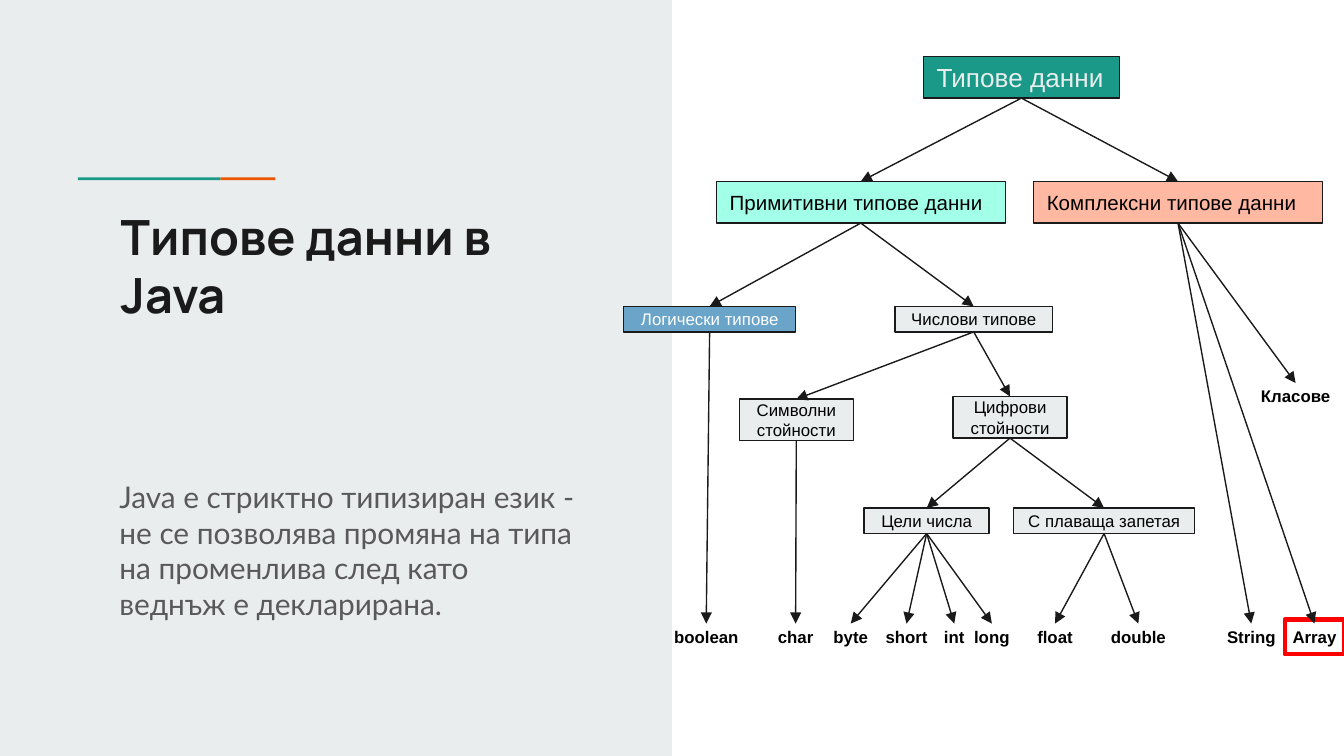
from lxml import etree
from pptx import Presentation
from pptx.dml.color import RGBColor
from pptx.enum import shapes, text
from pptx.oxml import ns
from pptx.util import Inches, Pt

INK = RGBColor(0x1A, 0x1A, 0x1A)
BLACK = RGBColor(0x00, 0x00, 0x00)
WHITE = RGBColor(0xFF, 0xFF, 0xFF)
GRAY = RGBColor(0x59, 0x59, 0x59)
PALE = RGBColor(0xE9, 0xED, 0xEE)
TEAL = RGBColor(0x1A, 0x99, 0x88)
ORANGE = RGBColor(0xEB, 0x56, 0x00)
MINT = RGBColor(0xA2, 0xFF, 0xE8)
SALMON = RGBColor(0xFF, 0xB8, 0xA2)
BLUE = RGBColor(0x6A, 0xA4, 0xC8)
RED = RGBColor(0xFF, 0x00, 0x00)

SLIDE_WIDTH = 10
SLIDE_HEIGHT = SLIDE_WIDTH * 9 / 16

presentation = Presentation()
presentation.slide_width = Inches(SLIDE_WIDTH)
presentation.slide_height = Inches(SLIDE_HEIGHT)
slide = presentation.slides.add_slide(presentation.slide_layouts[6])


def add_rectangle(left, top, width, height, fill=None, line=None, weight=0.75):
    shape = slide.shapes.add_shape(
        shapes.MSO_SHAPE.RECTANGLE,
        Inches(left), Inches(top), Inches(width), Inches(height))
    shape.shadow.inherit = False
    if fill is None:
        shape.fill.background()
    else:
        shape.fill.solid()
        shape.fill.fore_color.rgb = fill
    if line is None:
        shape.line.fill.background()
    else:
        shape.line.color.rgb = line
        shape.line.width = Pt(weight)
    return shape


def write(shape, content, size, color, font="Arial", bold=False, centered=True,
          anchor=text.MSO_ANCHOR.MIDDLE, side_inset=0.1):
    frame = shape.text_frame
    frame.word_wrap = True
    frame.vertical_anchor = anchor
    frame.margin_left = frame.margin_right = Inches(side_inset)
    frame.margin_top = frame.margin_bottom = Inches(0.1)
    frame.text = content
    paragraph = frame.paragraphs[0]
    paragraph.alignment = text.PP_ALIGN.CENTER if centered else text.PP_ALIGN.LEFT
    run_font = paragraph.runs[0].font
    run_font.name = font
    run_font.size = Pt(size)
    run_font.bold = bold
    run_font.color.rgb = color


# Left panel with its accent line, title and explanation
add_rectangle(0, 0, SLIDE_WIDTH / 2, SLIDE_HEIGHT, PALE)
add_rectangle(1.64, 1.32, 0.41, 0.02, ORANGE)
add_rectangle(0.58, 1.32, 1.06, 0.02, TEAL)

title = slide.shapes.add_textbox(Inches(0.8), Inches(1.44), Inches(3.61), Inches(1.85))
write(title, "Типове данни в Java", 26, INK, "Manrope", bold=True,
      centered=False, anchor=text.MSO_ANCHOR.TOP)

explanation = slide.shapes.add_textbox(Inches(0.79), Inches(3.46), Inches(3.61), Inches(1.19))
write(explanation,
      "Java е стриктно типизиран език - не се позволява промяна на типа "
      "на променлива след като веднъж е декларирана.",
      16, GRAY, "Lato", centered=False, anchor=text.MSO_ANCHOR.TOP)

add_rectangle(9.56, 4.61, 0.44, 0.26, line=RED, weight=2.25)

# Type categories: name, left, top, width, height, fill, text size, text colour
categories = [
    ("Типове данни", 6.87, 0.42, 1.46, 0.31, TEAL, 14, PALE),
    ("Примитивни типове данни", 5.33, 1.35, 2.15, 0.31, MINT, 11, BLACK),
    ("Комплексни типове данни", 7.69, 1.35, 2.15, 0.31, SALMON, 11, BLACK),
    ("Логически типове", 4.64, 2.28, 1.28, 0.19, BLUE, 9, WHITE),
    ("Числови типове", 6.66, 2.28, 1.17, 0.19, PALE, 9, BLACK),
    ("Символни стойности", 5.5, 2.97, 0.85, 0.31, PALE, 9, BLACK),
    ("Цифрови стойности", 7.09, 2.95, 0.85, 0.31, PALE, 9, BLACK),
    ("Цели числа", 6.43, 3.78, 0.93, 0.19, PALE, 9, BLACK),
    ("С плаваща запетая", 7.54, 3.78, 1.35, 0.19, PALE, 9, BLACK),
]
nodes = {}
for name, left, top, width, height, fill, size, color in categories:
    nodes[name] = add_rectangle(left, top, width, height, fill, INK)
    write(nodes[name], name, size, color, centered=size == 9)

# Concrete types: name, left, top, width
concrete_types = [
    ("boolean", 4.89, 4.64, 0.73),
    ("char", 5.69, 4.64, 0.46),
    ("byte", 6.1, 4.64, 0.46),
    ("short", 6.5, 4.64, 0.49),
    ("int", 6.91, 4.64, 0.38),
    ("long", 7.15, 4.64, 0.46),
    ("float", 7.62, 4.64, 0.46),
    ("double", 8.18, 4.64, 0.58),
    ("String", 9.02, 4.64, 0.58),
    ("Array", 9.49, 4.64, 0.58),
    ("Класове", 9.35, 2.85, 0.58),
]
for name, left, top, width in concrete_types:
    nodes[name] = slide.shapes.add_textbox(
        Inches(left), Inches(top), Inches(width), Inches(0.19))
    write(nodes[name], name, 9, BLACK, bold=True, side_inset=0)

# Arrows run from the bottom of each parent to the top of its children
children = {
    "Типове данни": ["Примитивни типове данни", "Комплексни типове данни"],
    "Примитивни типове данни": ["Логически типове", "Числови типове"],
    "Логически типове": ["boolean"],
    "Числови типове": ["Символни стойности", "Цифрови стойности"],
    "Символни стойности": ["char"],
    "Цифрови стойности": ["Цели числа", "С плаваща запетая"],
    "Цели числа": ["byte", "short", "int", "long"],
    "С плаваща запетая": ["float", "double"],
    "Комплексни типове данни": ["String", "Array", "Класове"],
}
TOP_SITE, BOTTOM_SITE = 0, 2
for parent, names in children.items():
    for name in names:
        arrow = slide.shapes.add_connector(shapes.MSO_CONNECTOR.STRAIGHT, 0, 0, 0, 0)
        arrow.begin_connect(nodes[parent], BOTTOM_SITE)
        arrow.end_connect(nodes[name], TOP_SITE)
        arrow.line.color.rgb = INK
        arrow.line.width = Pt(0.75)
        line_properties = arrow._element.spPr.find(ns.qn("a:ln"))
        etree.SubElement(line_properties, ns.qn("a:tailEnd"), type="triangle")
        etree.SubElement(arrow._element.spPr, ns.qn("a:effectLst"))

presentation.save("out.pptx")
